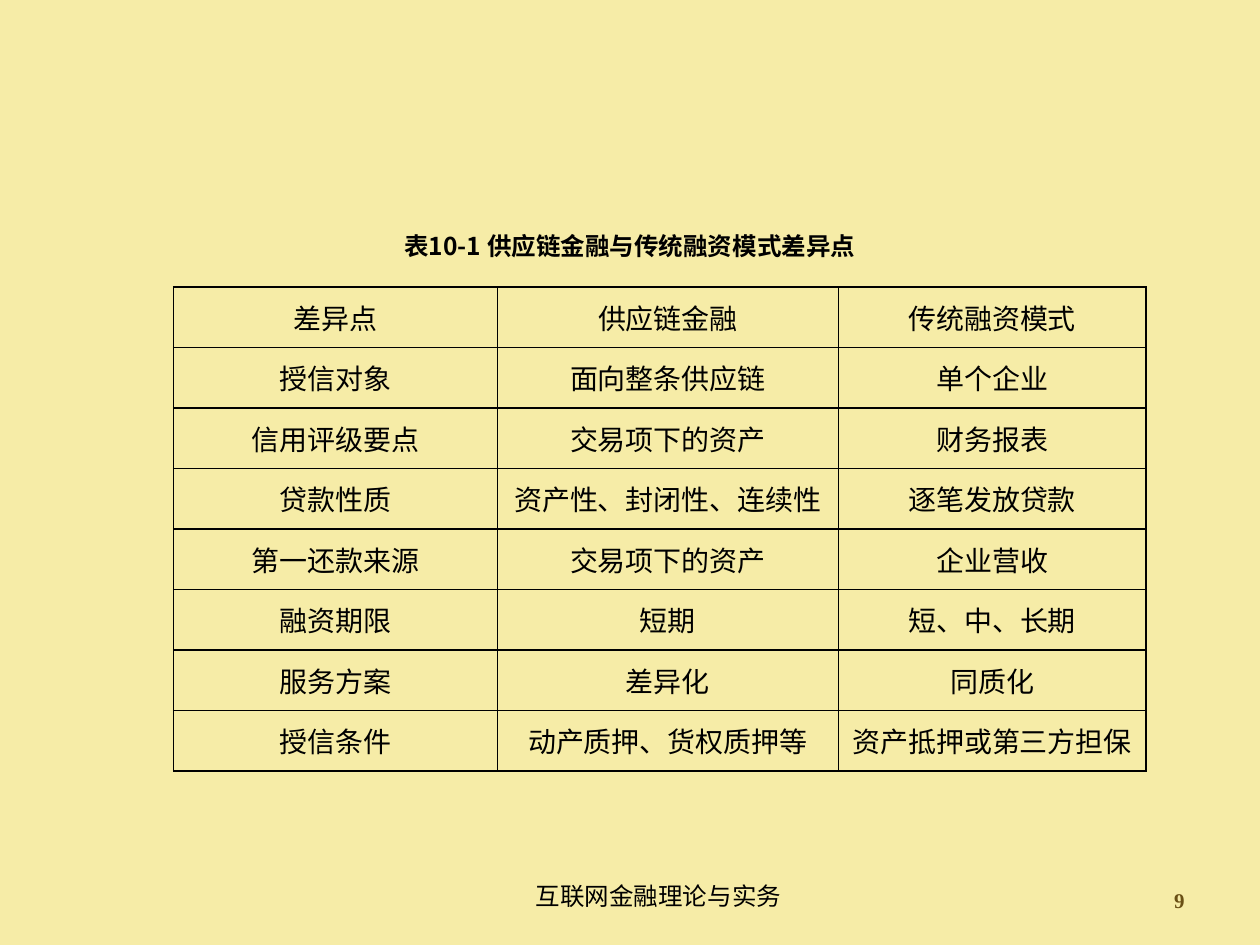
"""Build a slide comparing supply chain finance with traditional financing."""
import pptx
import pptx.dml.color
import pptx.enum.text
import pptx.oxml
import pptx.oxml.ns
import pptx.util

Pt = pptx.util.Pt
ALIGN = pptx.enum.text.PP_ALIGN
ANCHOR = pptx.enum.text.MSO_ANCHOR
COLORS = {"background": "F6ECA7", "text": "000000", "number": "6A5015"}
CHINESE_FONT = "Noto Sans CJK SC"
NUMBER_FONT = "Times New Roman"
COLUMN_WIDTHS = [185, 194.8, 176]
ROWS = [
    ["差异点", "供应链金融", "传统融资模式"],
    ["授信对象", "面向整条供应链", "单个企业"],
    ["信用评级要点", "交易项下的资产", "财务报表"],
    ["贷款性质", "资产性、封闭性、连续性", "逐笔发放贷款"],
    ["第一还款来源", "交易项下的资产", "企业营收"],
    ["融资期限", "短期", "短、中、长期"],
    ["服务方案", "差异化", "同质化"],
    ["授信条件", "动产质押、货权质押等", "资产抵押或第三方担保"],
]


def rgb(name):
    """Return the named colour."""
    return pptx.dml.color.RGBColor.from_string(COLORS[name])


def write_text(frame, text, size, align=ALIGN.CENTER, font=CHINESE_FONT, color="text", bold=False):
    """Write one formatted paragraph into a text frame."""
    frame.word_wrap = True
    paragraph = frame.paragraphs[0]
    paragraph.text = text
    paragraph.alignment = align
    paragraph.font.name = font
    paragraph.font.size = Pt(size)
    paragraph.font.bold = bold
    paragraph.font.color.rgb = rgb(color)
    properties = paragraph.font._element
    latin = properties.find(pptx.oxml.ns.qn("a:latin"))
    latin.addnext(pptx.oxml.parse_xml(
        f'<a:ea {pptx.oxml.ns.nsdecls("a")} typeface="{font}"/>'))


def add_caption(slide, left, top, width, height):
    """Place the table caption in the title placeholder."""
    title = slide.shapes.title
    title.left, title.top, title.width, title.height = map(Pt, (left, top, width, height))
    title.text_frame.auto_size = pptx.enum.text.MSO_AUTO_SIZE.NONE
    title.text_frame.vertical_anchor = ANCHOR.TOP
    write_text(title.text_frame, "表10-1 供应链金融与传统融资模式差异点", 14, bold=True)


def add_borders(cell):
    """Draw a one-point line on all four sides of a cell."""
    properties = cell._tc.get_or_add_tcPr()
    for index, side in enumerate(("lnL", "lnR", "lnT", "lnB")):
        properties.insert(index, pptx.oxml.parse_xml(
            f'<a:{side} {pptx.oxml.ns.nsdecls("a")} w="{Pt(1)}"><a:solidFill>'
            f'<a:srgbClr val="{COLORS["text"]}"/></a:solidFill></a:{side}>'))


def add_comparison_table(slide, left, top, width, height):
    """Place the comparison table."""
    table = slide.shapes.add_table(
        len(ROWS), len(COLUMN_WIDTHS), Pt(left), Pt(top), Pt(width), Pt(height)).table
    table.first_row = table.horz_banding = False
    for column, column_width in zip(table.columns, COLUMN_WIDTHS):
        column.width = Pt(column_width)
    for row, texts in zip(table.rows, ROWS):
        row.height = Pt(height / len(ROWS))
        for cell, text in zip(row.cells, texts):
            cell.fill.background()
            cell.vertical_anchor = ANCHOR.MIDDLE
            cell.margin_left = cell.margin_right = Pt(5)
            cell.margin_top = cell.margin_bottom = 0
            write_text(cell.text_frame, text, 16)
            add_borders(cell)


def add_footer(slide, left, top, width, height):
    """Place the book title and the page number."""
    book = slide.shapes.add_textbox(Pt(left), Pt(top), Pt(312), Pt(height))
    write_text(book.text_frame, "互联网金融理论与实务", 14)
    number_width = 168
    number = slide.shapes.add_textbox(
        Pt(left + width - number_width), Pt(top + 0.5), Pt(number_width), Pt(height))
    number.text_frame.vertical_anchor = ANCHOR.MIDDLE
    write_text(number.text_frame, "9", 12, ALIGN.RIGHT, NUMBER_FONT, "number", True)


def main():
    """Build and save the presentation."""
    presentation = pptx.Presentation()
    presentation.slide_width, presentation.slide_height = Pt(720), Pt(540)
    slide = presentation.slides.add_slide(presentation.slide_layouts[5])
    slide.background.fill.solid()
    slide.background.fill.fore_color.rgb = rgb("background")
    add_footer(slide, 220.3, 499.7, 463.7, 28.8)
    add_caption(slide, 36.7, 128.2, 646.6, 24.5)
    add_comparison_table(slide, 99.2, 164, sum(COLUMN_WIDTHS), 276.5)
    presentation.save("out.pptx")


if __name__ == "__main__":
    main()
